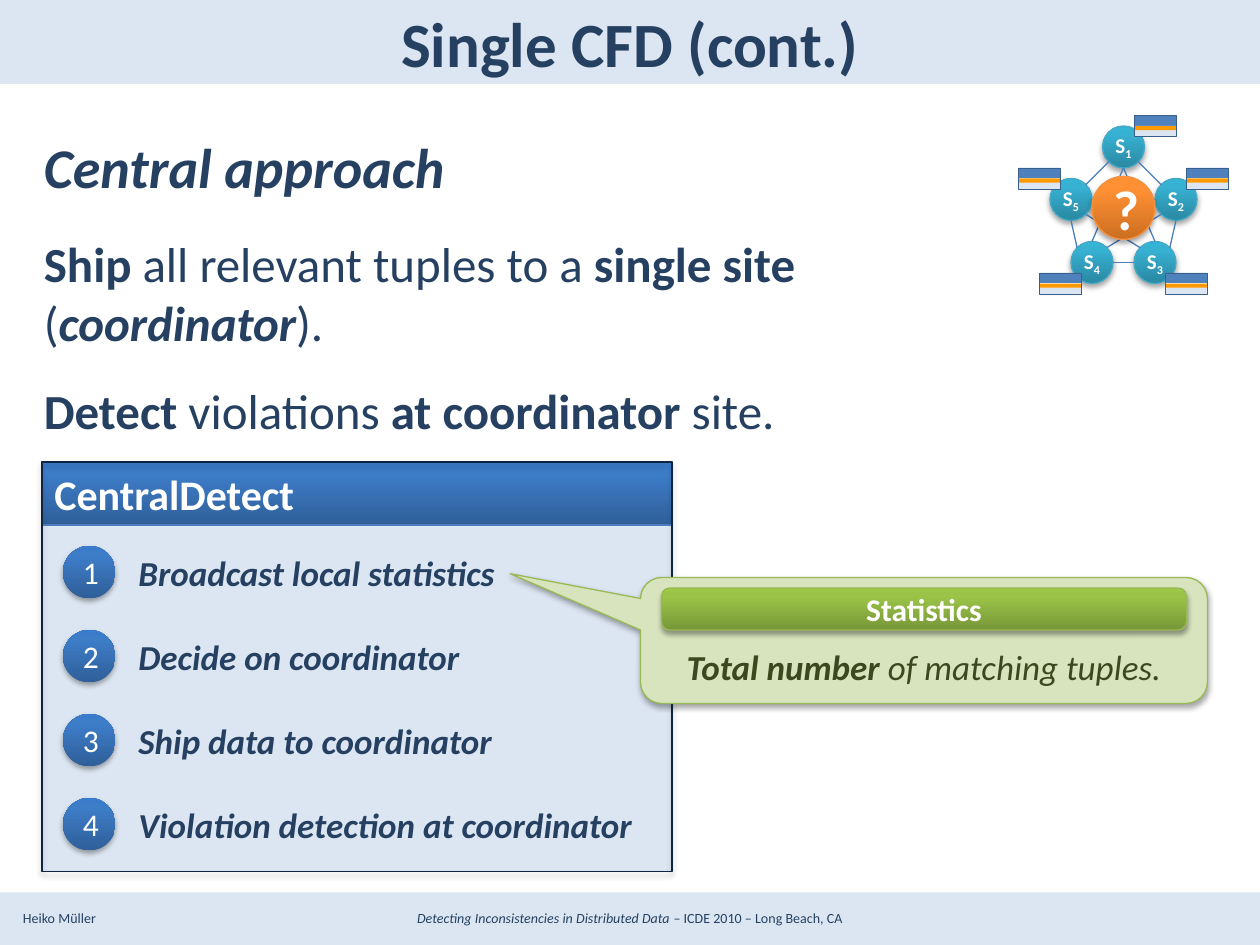
from copy import deepcopy
from dataclasses import dataclass
from math import cos, radians, sin
from typing import Optional

from lxml.etree import SubElement
from pptx import Presentation
from pptx.dml.color import RGBColor
from pptx.enum.shapes import MSO_CONNECTOR, MSO_SHAPE
from pptx.enum.text import MSO_ANCHOR, PP_ALIGN
from pptx.oxml.ns import qn
from pptx.util import Cm, Pt

COLORS = {
    "pale": "DCE6F2", "navy": "254061", "white": "FFFFFF", "edge": "4B7EBC",
    "site_line": "46AAC5", "query_line": "F69240", "flag_top": "4F81BD",
    "flag_stripe": "FF9900", "flag_line": "3A5F8C", "panel_line": "0F243E",
    "note": "D7E4BD", "note_line": "98B955", "note_text": "3B4A1E",
}
# Gradients run from bottom to top
GRADIENTS = {
    "teal": ("2A88A2", "37B1D2", "34B4D6"),
    "orange": ("CC6E20", "FF9034", "FF9136"),
    "blue": ("2F5F99", "3D7CC7", "3A7CCB"),
    "green": ("779737", "9BC348", "9DC746"),
}
STOPS = (0, 0.8, 1)


@dataclass
class Span:
    text: str
    bold: bool = False
    italic: bool = False
    subscript: bool = False
    break_after: bool = False


@dataclass
class Box:
    """A place on the slide grid, whose unit is a twelfth of an inch."""
    left: float
    top: float
    width: float
    height: float

    def lengths(self) -> tuple:
        return tuple(grid(n) for n in (self.left, self.top, self.width, self.height))


def grid(units: float) -> Cm:
    return Cm(units * 2.54 / 12)


def rgb(name: str) -> RGBColor:
    return RGBColor.from_string(COLORS[name])


def write(paragraph, spans: list[Span], size: float, color: str = "navy",
          align=PP_ALIGN.LEFT, before: float = 0) -> None:
    paragraph.alignment = align
    paragraph.space_before = Pt(before)
    for span in spans:
        run = paragraph.add_run()
        run.text = span.text
        run.font.name, run.font.size = "Calibri", Pt(size)
        run.font.bold, run.font.italic = span.bold, span.italic
        run.font.color.rgb = rgb(color)
        if span.subscript:
            run.font._element.set("baseline", "-25000")
        if span.break_after:
            paragraph.add_line_break()


def fill_gradient(fill, name: str) -> None:
    fill.gradient()
    fill.gradient_angle = 90
    stop_list = fill._xPr.find(qn("a:gradFill")).find(qn("a:gsLst"))
    stop_list.append(deepcopy(stop_list[0]))
    for stop, position, color in zip(fill.gradient_stops, STOPS, GRADIENTS[name]):
        stop.position = position
        stop.color.rgb = RGBColor.from_string(color)


def add_shadow(shape) -> None:
    effects = shape._element.spPr.find(qn("a:effectLst"))
    outer = SubElement(effects, qn("a:outerShdw"), blurRad=str(Pt(3.1)),
                       dist=str(Pt(1.8)), dir="5400000", rotWithShape="0")
    black = SubElement(outer, qn("a:srgbClr"), val="000000")
    SubElement(black, qn("a:alpha"), val="35000")


def draw(shapes, kind, box: Box, fill: Optional[str] = None, line: Optional[str] = None,
         width: float = 0.75, shadow: bool = False):
    shape = shapes.add_shape(kind, *box.lengths())
    shape.shadow.inherit = False
    if fill in GRADIENTS:
        fill_gradient(shape.fill, fill)
    elif fill:
        shape.fill.solid()
        shape.fill.fore_color.rgb = rgb(fill)
    else:
        shape.fill.background()
    if line:
        shape.line.color.rgb = rgb(line)
        shape.line.width = Pt(width)
    else:
        shape.line.fill.background()
    if shadow:
        add_shadow(shape)
    return shape


def label(shape, spans: list[Span], size: float, color: str = "white",
          align=PP_ALIGN.CENTER, wrap: bool = True) -> None:
    frame = shape.text_frame
    frame.word_wrap = wrap
    frame.vertical_anchor = MSO_ANCHOR.MIDDLE
    write(frame.paragraphs[0], spans, size, color, align)


def add_text(shapes, box: Box):
    frame = shapes.add_textbox(*box.lengths()).text_frame
    frame.word_wrap = True
    return frame


def draw_edge(shapes, start: tuple, end: tuple) -> None:
    edge = shapes.add_connector(MSO_CONNECTOR.STRAIGHT, *map(grid, start + end))
    edge.line.color.rgb = rgb("edge")
    edge.line.width = Pt(0.75)
    SubElement(edge._element.spPr, qn("a:effectLst"))


def draw_flag(shapes, left: float, top: float) -> None:
    rect = MSO_SHAPE.RECTANGLE
    draw(shapes, rect, Box(left, top, 4, 1), "flag_top", "white", 0.25)
    draw(shapes, rect, Box(left, top + 1, 4, 1), "pale", "white", 0.25)
    draw(shapes, rect, Box(left, top + 1, 4, 0.4), "flag_stripe")
    draw(shapes, rect, Box(left, top, 4, 2), None, "flag_line", 0.25)


def draw_network(shapes) -> None:
    sites = {1: (105, 12), 5: (100, 17), 2: (110, 17), 4: (102, 23), 3: (108, 23)}
    # Each edge: site, angle on its rim (clockwise from right), site, angle
    edges = [(1, 45, 2, 225), (2, 90, 3, 315), (4, 0, 3, 180), (4, 225, 5, 90),
             (5, 315, 1, 135), (5, 0, 2, 180), (5, 45, 3, 225), (2, 135, 4, 315),
             (4, 270, 1, 90), (1, 90, 3, 270)]
    flags = [(97, 16), (108, 11), (113, 16), (111, 26), (99, 26)]

    def rim(site: int, angle: float) -> tuple:
        left, top = sites[site]
        return left + 2 + 2 * cos(radians(angle)), top + 2 + 2 * sin(radians(angle))

    for number, (left, top) in sites.items():
        site = draw(shapes, MSO_SHAPE.OVAL, Box(left, top, 4, 4), "teal", "site_line", shadow=True)
        label(site, [Span("S", True), Span(str(number), True, subscript=True)], 12, wrap=False)
    for first, first_angle, second, second_angle in edges:
        draw_edge(shapes, rim(first, first_angle), rim(second, second_angle))
    query = draw(shapes, MSO_SHAPE.OVAL, Box(104, 16.8, 6, 6), "orange", "query_line", shadow=True)
    label(query, [Span("?", True)], 32)
    for left, top in flags:
        draw_flag(shapes, left, top)


def draw_algorithm(shapes) -> None:
    steps = ["Broadcast local statistics", "Decide on coordinator",
             "Ship data to coordinator", "Violation detection at coordinator"]
    panel = Box(4, 44, 60, 39)
    draw(shapes, MSO_SHAPE.RECTANGLE, panel, "pale")
    header = draw(shapes, MSO_SHAPE.RECTANGLE, Box(4, 44, 60, 6), "blue", "edge")
    label(header, [Span("CentralDetect", True)], 24, align=PP_ALIGN.LEFT)
    for index, step in enumerate(steps):
        top = 52 + 8 * index
        badge = draw(shapes, MSO_SHAPE.OVAL, Box(6, top, 5, 5), "blue", shadow=True)
        label(badge, [Span(str(index + 1))], 18)
        frame = add_text(shapes, Box(12, top, 52, 5))
        frame.vertical_anchor = MSO_ANCHOR.MIDDLE
        write(frame.paragraphs[0], [Span(step, True, True)], 20)
    draw(shapes, MSO_SHAPE.RECTANGLE, panel, None, "panel_line", shadow=True)


def draw_statistics(shapes) -> None:
    note = draw(shapes, MSO_SHAPE.ROUNDED_RECTANGULAR_CALLOUT, Box(61, 55, 54, 12),
                "note", "note_line", shadow=True)
    for index, value in enumerate((-0.73, -0.53, 0.17)):
        note.adjustments[index] = value
    note.text_frame.margin_top = Cm(1.16)
    label(note, [Span("Total number ", True, True), Span("of matching tuples.", italic=True)],
          20, "note_text")
    heading = draw(shapes, MSO_SHAPE.ROUNDED_RECTANGLE, Box(63, 56, 50, 4),
                   "green", "note_line", shadow=True)
    heading.adjustments[0] = 0.2
    label(heading, [Span("Statistics", True)], 18)


def main() -> None:
    deck = Presentation()
    deck.slide_width, deck.slide_height = Cm(25.4), Cm(19.05)
    slide = deck.slides.add_slide(deck.slide_layouts[5])
    shapes = slide.shapes
    slide.background.fill.solid()
    slide.background.fill.fore_color.rgb = rgb("pale")

    # Footer and content area
    write(add_text(shapes, Box(1, 86, 12, 2.9)).paragraphs[0], [Span("Heiko Müller")], 8)
    write(add_text(shapes, Box(2, 86, 116, 2.9)).paragraphs[0],
          [Span("Detecting Inconsistencies in Distributed Data ", italic=True),
           Span("– ICDE 2010 – Long Beach, CA")], 8, align=PP_ALIGN.CENTER)
    draw(shapes, MSO_SHAPE.RECTANGLE, Box(0, 8, 120, 77), "white")

    # Title
    title = shapes.title
    title.left, title.top, title.width, title.height = Box(6, 0, 108, 8).lengths()
    label(title, [Span("Single CFD (cont.)", True)], 36, "navy")

    # Approach
    approach = add_text(shapes, Box(3, 12, 114, 30))
    write(approach.paragraphs[0], [Span("Central approach", True, True)], 32)
    write(approach.add_paragraph(),
          [Span("Ship ", True), Span("all relevant tuples to a "),
           Span("single site", True, break_after=True), Span("("),
           Span("coordinator", True, True), Span(").")], 28, before=19.5)
    write(approach.add_paragraph(),
          [Span("Detect", True), Span(" violations"), Span(" at coordinator ", True),
           Span("site.")], 28, before=17)

    # Diagrams
    for draw_part in (draw_network, draw_algorithm, draw_statistics):
        draw_part(shapes.add_group_shape().shapes)
    deck.save("out.pptx")


if __name__ == "__main__":
    main()
